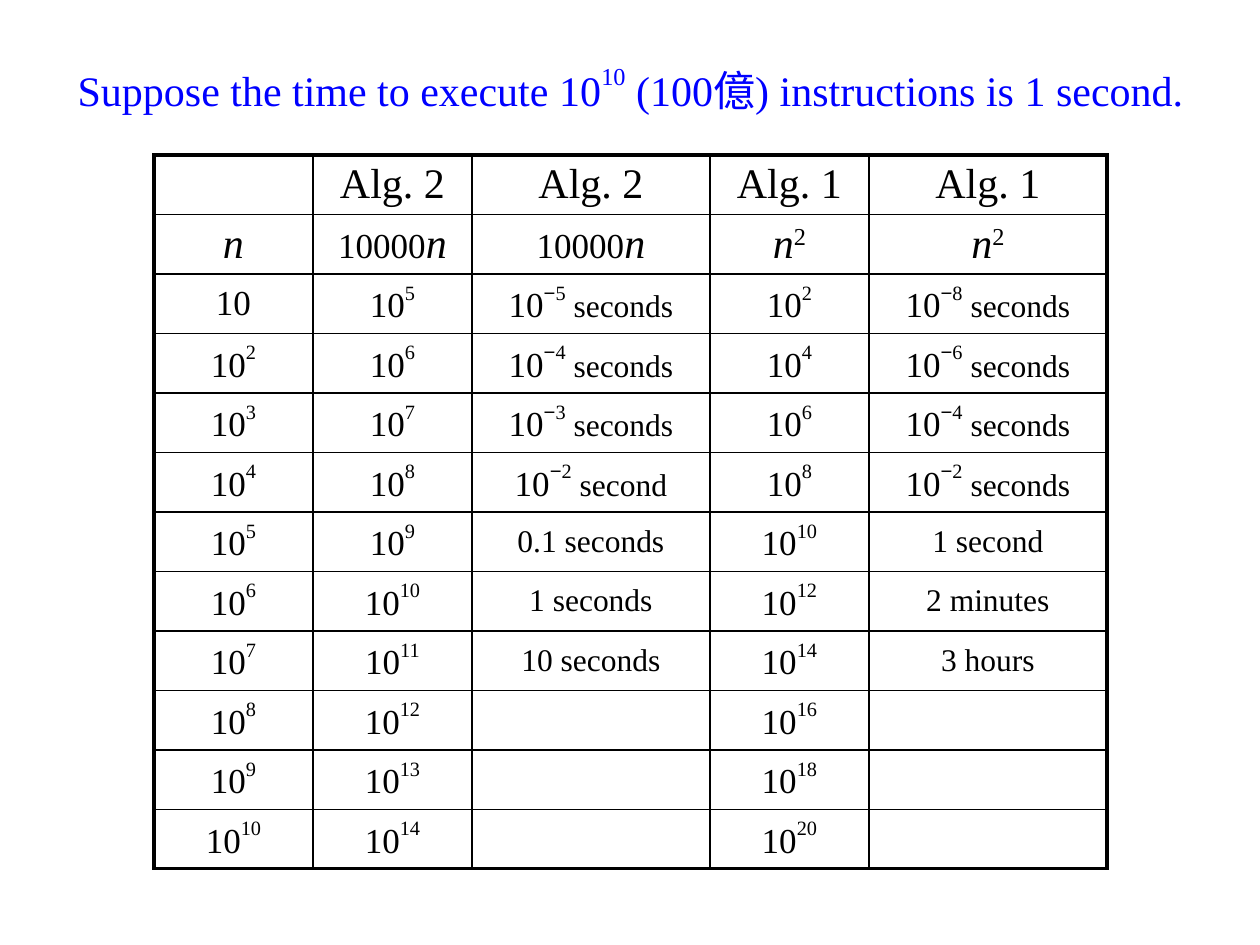
from lxml.etree import SubElement
from pptx import Presentation
from pptx.dml.color import RGBColor
from pptx.enum.text import MSO_ANCHOR as Anchor, PP_ALIGN as Align
from pptx.oxml.ns import qn
from pptx.util import Emu, Pt

PX = 914400 // 126
SERIF, SANS = "Times New Roman", "Arial"
BLACK, BLUE = "000000", "0000FF"
THIN, THICK = 1, 2.25
COLUMN_WIDTHS = [159, 159, 238, 159, 238]

# Exponents of n, 10000n and n², with the running times of both algorithms
POWERS = range(1, 11)
LINEAR_TIMES = [("−5", " seconds"), ("−4", " seconds"), ("−3", " seconds"),
                ("−2", " second"), "0.1 seconds", "1 seconds", "10 seconds"]
SQUARE_TIMES = [("−8", " seconds"), ("−6", " seconds"), ("−4", " seconds"),
                ("−2", " seconds"), "1 second", "2 minutes", "3 hours"]


def px(length):
    return Emu(length * PX)


def color(value):
    return RGBColor.from_string(value)


def add_span(para, text, size, raised=0, ink=BLACK, **formats):
    span = para.add_run()
    span.text = text
    for name, value in {"name": SERIF, "size": Pt(size), **formats}.items():
        setattr(span.font, name, value)
    span.font.color.rgb = color(ink)
    if raised:
        span.font._element.set("baseline", str(raised * 1000))


def add_power(para, exponent):
    add_span(para, "10", 20)
    if exponent.startswith("−"):
        add_span(para, "−", 20, 50, name=SANS)
    add_span(para, exponent.lstrip("−"), 20, 50)


def add_time(para, time):
    if isinstance(time, tuple):
        exponent, time = time
        add_power(para, exponent)
    add_span(para, time, 18)


def add_linear(para):
    add_span(para, "10000", 20)
    add_span(para, "n", 24, italic=True)


def add_square(para):
    add_span(para, "n", 24, italic=True)
    add_span(para, "2", 24, 30)


def draw_borders(cell, widths):
    properties = cell._tc.get_or_add_tcPr()
    for index, (side, width) in enumerate(widths.items()):
        line = SubElement(properties, qn(f"a:ln{side}"), w=str(Pt(width)))
        fill = SubElement(line, qn("a:solidFill"))
        SubElement(fill, qn("a:srgbClr"), val=BLACK)
        properties.insert(index, line)


def add_title(page, left, top, width, height):
    box = page.shapes.add_textbox(px(left), px(top), px(width), px(height))
    frame = box.text_frame
    formats = {"word_wrap": True, "margin_left": px(13), "margin_right": px(10)}
    for name, value in formats.items():
        setattr(frame, name, value)
    para = frame.paragraphs[0]
    para.alignment = Align.CENTER
    add_span(para, "Suppose the time to execute 10", 24, ink=BLUE)
    add_span(para, "10", 24, 50, ink=BLUE)
    add_span(para, " (100億) instructions is 1 second.", 24, ink=BLUE)


def add_grid(page, left, top, width, height):
    row_count, column_count = len(POWERS) + 2, len(COLUMN_WIDTHS)
    table = page.shapes.add_table(row_count, column_count, px(left), px(top),
                                  px(width), px(height)).table
    table.first_row = table.horz_banding = False
    for column, column_width in zip(table.columns, COLUMN_WIDTHS):
        column.width = px(column_width)

    # Cell format and borders, thick along the outside
    for r, row in enumerate(table.rows):
        row.height = Emu(px(height) // row_count)
        margin = px(3 if r < 2 else 6)
        formats = {"vertical_anchor": Anchor.MIDDLE, "margin_top": margin,
                   "margin_bottom": margin, "margin_left": px(13), "margin_right": px(13)}
        for c, cell in enumerate(row.cells):
            for name, value in formats.items():
                setattr(cell, name, value)
            cell.fill.background()
            cell.text_frame.paragraphs[0].alignment = Align.CENTER
            outside = {"L": c == 0, "R": c == column_count - 1,
                       "T": r == 0, "B": r == row_count - 1}
            draw_borders(cell, {side: THICK if edge else THIN
                                for side, edge in outside.items()})

    def para_at(r, c):
        return table.cell(r, c).text_frame.paragraphs[0]

    # Heading rows
    for c, name in enumerate(["Alg. 2", "Alg. 2", "Alg. 1", "Alg. 1"], start=1):
        add_span(para_at(0, c), name, 24)
    add_span(para_at(1, 0), "n", 24, italic=True)
    for c, add_formula in enumerate([add_linear, add_linear, add_square, add_square], start=1):
        add_formula(para_at(1, c))

    # Instruction counts
    for r, power in enumerate(POWERS, start=2):
        if power == 1:
            add_span(para_at(r, 0), "10", 20)
        else:
            add_power(para_at(r, 0), str(power))
        add_power(para_at(r, 1), str(power + 4))
        add_power(para_at(r, 3), str(2 * power))

    # Running times
    for c, times in [(2, LINEAR_TIMES), (4, SQUARE_TIMES)]:
        for r, time in enumerate(times, start=2):
            add_time(para_at(r, c), time)


def main():
    deck = Presentation()
    deck.slide_width, deck.slide_height = px(1260), px(945)
    page = deck.slides.add_slide(deck.slide_layouts[6])
    add_grid(page, 154, 155, 953, 714)
    add_title(page, 54, 55, 1150, 59)
    deck.save("out.pptx")


if __name__ == "__main__":
    main()
